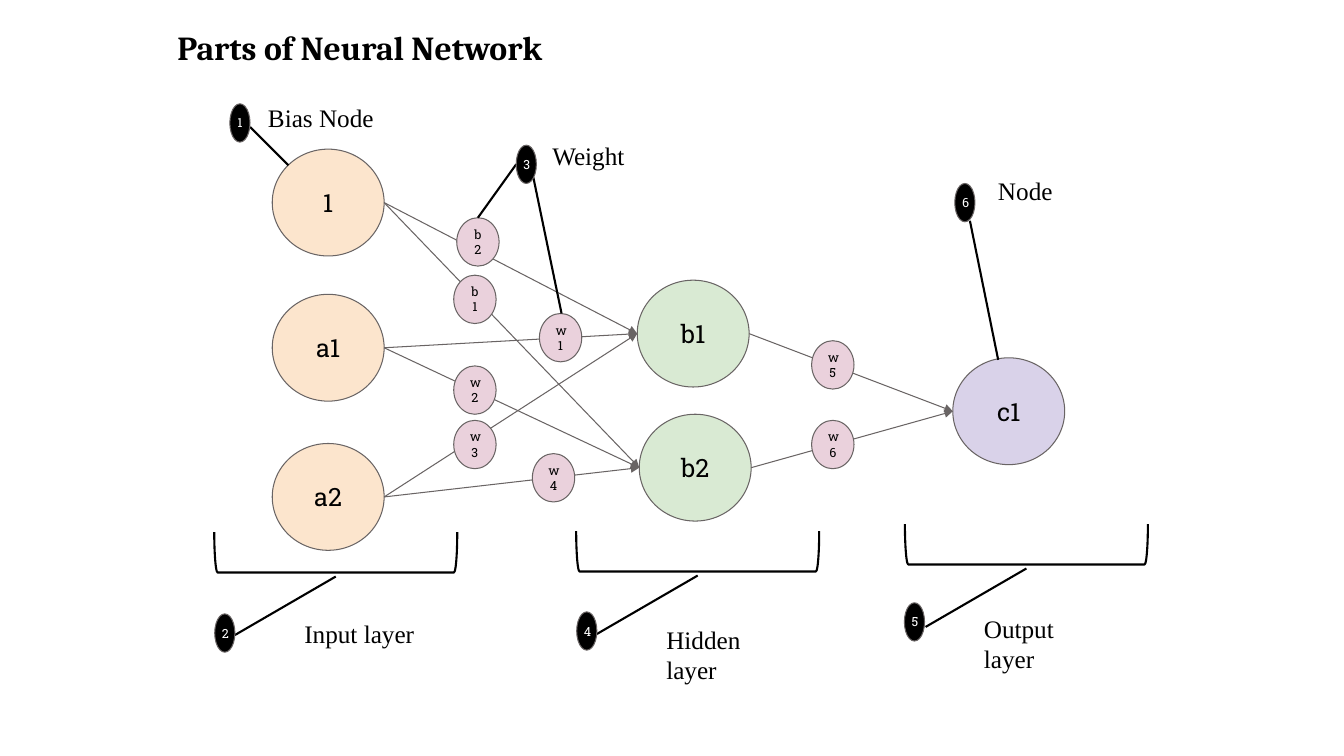
from lxml import etree
from pptx import Presentation
from pptx.dml.color import RGBColor
from pptx.enum import shapes, text
from pptx.oxml.ns import qn
from pptx.util import Inches, Pt

# Content: positions are left, top in inches
TITLE = "Parts of Neural Network"
NODE_SIZE, WEIGHT_SIZE, BADGE_SIZE = (1.11, 1.06), (0.42, 0.48), (0.2, 0.38)
INPUT, HIDDEN, OUTPUT = "FCE5CD", "D9EAD3", "D9D2E9"
PINK, BLACK, WHITE, GREY = "EAD1DC", "000000", "FFFFFF", "696464"
NODES = {
    "1": (2.7, 1.48, INPUT),
    "a1": (2.7, 2.92, INPUT),
    "a2": (2.7, 4.4, INPUT),
    "b1": (6.32, 2.78, HIDDEN),
    "b2": (6.34, 4.11, HIDDEN),
    "c1": (9.45, 3.55, OUTPUT),
}
SYNAPSES = [("1", "b1"), ("1", "b2"), ("a1", "b1"), ("a1", "b2"),
            ("a2", "b1"), ("a2", "b2"), ("b1", "c1"), ("b2", "c1")]
WEIGHTS = [
    ("b2", 4.53, 2.16), ("b1", 4.5, 2.73), ("w1", 5.35, 3.11), ("w2", 4.5, 3.63),
    ("w3", 4.5, 4.17), ("w4", 5.28, 4.5), ("w5", 8.05, 3.38), ("w6", 8.05, 4.17),
]
POINTERS = [
    ((2.86, 1.64), (2.48, 1.26)),
    ((4.74, 2.16), (5.12, 1.63)),
    ((5.57, 3.11), (5.29, 1.76)),
    ((9.9, 3.57), (9.62, 2.19)),
]
BADGES = [("1", 2.28, 1.03), ("3", 5.12, 1.44), ("6", 9.47, 1.82),
          ("2", 2.13, 6.09), ("4", 5.72, 6.07), ("5", 8.97, 5.98)]
LABELS = [
    ("Bias Node", 2.56, 0.92, 1.44),
    ("Weight", 5.38, 1.29, 1.04),
    ("Node", 9.8, 1.64, 1.04),
    ("Input layer", 2.92, 6.03, 1.81),
    ("Hidden layer", 6.51, 6.09, 1.32),
    ("Output layer", 9.66, 5.98, 1.32),
]
BRACKETS = [(3.33, 5.48), (6.92, 5.47), (10.18, 5.4)]  # centres
BRACKET_DEPTH, BRACKET_SPAN = 0.4, 2.41

deck = Presentation()
deck.slide_width, deck.slide_height = Inches(13.33), Inches(7.5)
page = deck.slides.add_slide(deck.slide_layouts[5])


def color(value):
    return RGBColor.from_string(value)


def write(shape, words, font, ink, inset=0.1, anchor="TOP", align="LEFT"):
    frame = shape.text_frame
    settings = {"word_wrap": True, "auto_size": text.MSO_AUTO_SIZE.NONE,
                "vertical_anchor": text.MSO_ANCHOR[anchor],
                "margin_left": Inches(0.1), "margin_right": Inches(0.1),
                "margin_top": Inches(inset), "margin_bottom": Inches(inset)}
    for name, value in settings.items():
        setattr(frame, name, value)
    para = frame.paragraphs[0]
    para.alignment = text.PP_ALIGN[align]
    span = para.add_run()
    span.text = words
    for name, value in font.items():
        setattr(span.font, name, value)
    span.font.color.rgb = color(ink)


def outline(shape, ink, points):
    shape.line.color.rgb = color(ink)
    shape.line.width = Pt(points)


def circle(words, left, top, size, fill, points, ink=BLACK):
    shape = page.shapes.add_shape(shapes.MSO_SHAPE.OVAL, *map(Inches, (left, top, *size)))
    shape.shadow.inherit = False
    shape.fill.solid()
    shape.fill.fore_color.rgb = color(fill)
    outline(shape, GREY, 0.75)
    write(shape, words, {"name": "Roboto Slab", "size": Pt(points)}, ink,
          anchor="MIDDLE", align="CENTER")


def connect(start, end, ink, points, arrow=False):
    link = page.shapes.add_connector(shapes.MSO_CONNECTOR.STRAIGHT,
                                     *map(Inches, (*start, *end)))
    outline(link, ink, points)
    if arrow:
        etree.SubElement(link.line._get_or_add_ln(), qn("a:tailEnd"), type="triangle")
    etree.SubElement(link._element.spPr, qn("a:effectLst"))


# Title
title = page.shapes.title
title.left, title.top, title.width, title.height = map(Inches, (1.66, 0.22, 7.59, 0.62))
write(title, TITLE, {"name": "Cambria", "size": Pt(24), "bold": True}, BLACK, inset=0.05)

# Network: nodes, arrows from right side to left side, weights
for name, (left, top, fill) in NODES.items():
    circle(name, left, top, NODE_SIZE, fill, 18)
for source, target in SYNAPSES:
    (x1, y1, _), (x2, y2, _) = NODES[source], NODES[target]
    width, half = NODE_SIZE[0], NODE_SIZE[1] / 2
    connect((x1 + width, y1 + half), (x2, y2 + half), GREY, 0.75, arrow=True)
for name, left, top in WEIGHTS:
    circle(name, left, top, WEIGHT_SIZE, PINK, 9)

# Layer brackets, turned to open upwards, each with a pointer to its badge
for x, y in BRACKETS:
    bracket = page.shapes.add_shape(
        shapes.MSO_SHAPE.LEFT_BRACKET,
        Inches(x - BRACKET_DEPTH / 2), Inches(y - BRACKET_SPAN / 2),
        Inches(BRACKET_DEPTH), Inches(BRACKET_SPAN))
    bracket.rotation = 270
    bracket.shadow.inherit = False
    bracket.fill.background()
    outline(bracket, BLACK, 1.5)
    connect((x - 1, y + 0.82), (x, y + 0.24), BLACK, 1.5)

# Callouts
for start, end in POINTERS:
    connect(start, end, BLACK, 1.5)
for number, left, top in BADGES:
    circle(number, left, top, BADGE_SIZE, BLACK, 9, WHITE)
for words, left, top, width in LABELS:
    box = page.shapes.add_textbox(*map(Inches, (left, top, width, 0.5)))
    write(box, words, {"name": "Times New Roman", "size": Pt(18)}, BLACK)

deck.save("out.pptx")
